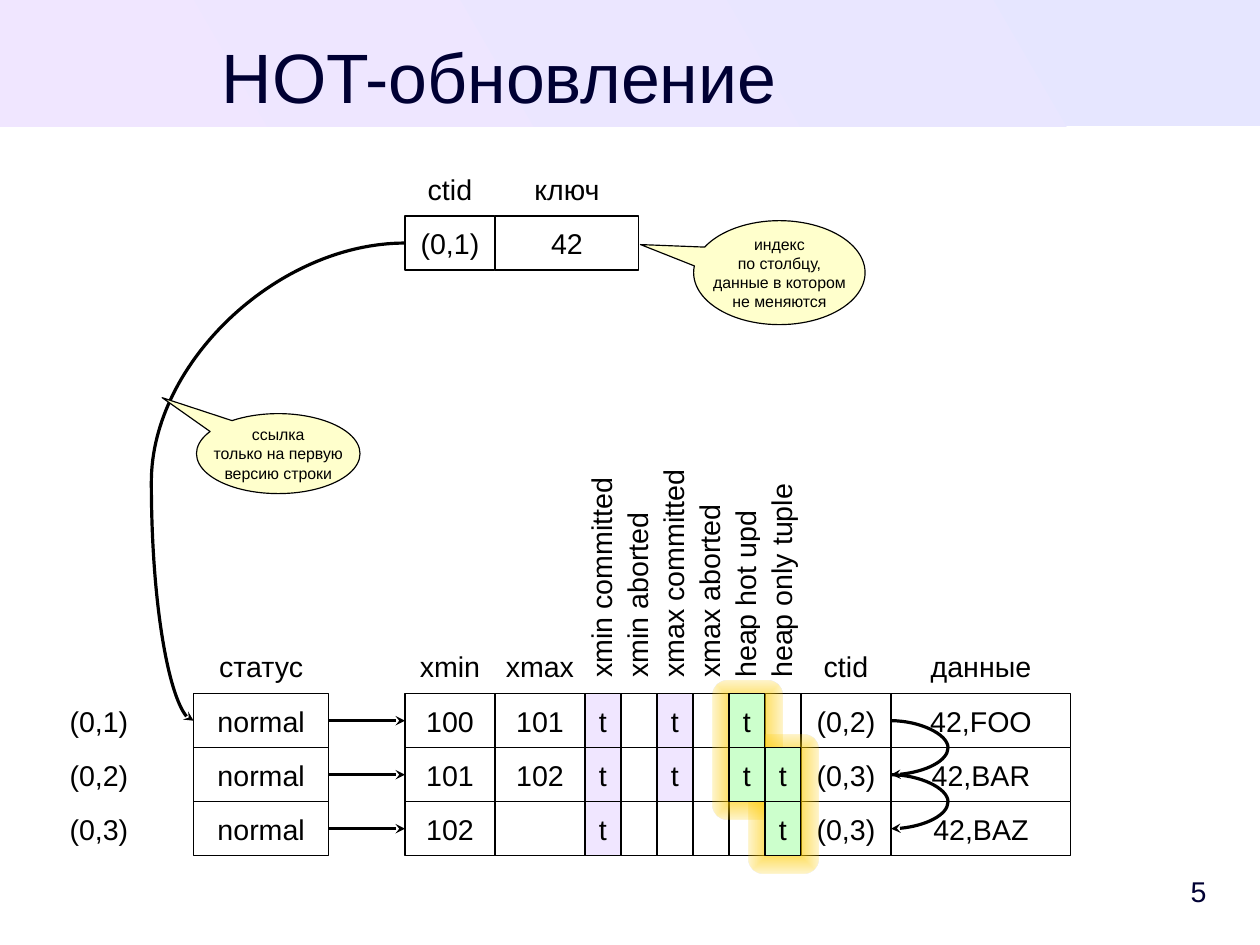
from lxml import etree
from pptx import Presentation
from pptx import util as u
from pptx.dml.color import RGBColor
from pptx.enum import shapes, text
from pptx.oxml import ns

SH = shapes.MSO_SHAPE
AL = text.PP_ALIGN


def rgb(value):
    return RGBColor.from_string(value)


def node(parent, tag, **attrs):
    return etree.SubElement(parent, ns.qn("a:" + tag), **attrs)


class Canvas:
    font = "Arial"
    ink = "000000"
    navy = "000033"
    violet = "F0E6FF"
    green = "CCFFCC"
    cream = "FFFFCC"
    glow = "FFCC00"

    def __init__(self, slide):
        self.s = slide

    def add_lines(self, tf, lines, size, color, align):
        for i, line in enumerate(lines.split("\n")):
            p = tf.paragraphs[0] if i == 0 else tf.add_paragraph()
            p.alignment = align
            r = p.add_run()
            r.text = line
            r.font.name = self.font
            r.font.size = u.Pt(size)
            r.font.color.rgb = rgb(color)

    def label(self, x, y, w, h, words, size, align, anchor, margins):
        sp = self.s.shapes.add_textbox(u.Pt(x), u.Pt(y), u.Pt(w), u.Pt(h))
        tf = sp.text_frame
        tf.word_wrap = True
        tf.vertical_anchor = anchor
        tf.margin_left, tf.margin_top, tf.margin_right, tf.margin_bottom = map(u.Pt, margins)
        self.add_lines(tf, words, size, self.navy, align)

    def shape(self, kind, x, y, w, h, fill="FFFFFF", line=None):
        sp = self.s.shapes.add_shape(kind, u.Pt(x), u.Pt(y), u.Pt(w), u.Pt(h))
        sp.shadow.inherit = False
        sp.fill.solid()
        sp.fill.fore_color.rgb = rgb(fill)
        if line:
            sp.line.color.rgb = rgb(line)
            sp.line.width = u.Pt(0)
        else:
            sp.line.fill.background()
        return sp

    def box(self, x, y, w, h, words="", fill="FFFFFF", line=None, size=18,
            kind=SH.RECTANGLE, align=AL.CENTER, wrap=False):
        sp = self.shape(kind, x, y, w, h, fill, line)
        if words:
            tf = sp.text_frame
            tf.word_wrap = wrap
            tf.vertical_anchor = text.MSO_ANCHOR.MIDDLE
            self.add_lines(tf, words, size, self.ink, align)
        return sp

    def cell(self, x, y, w, h, words="", fill="FFFFFF"):
        return self.box(x, y, w, h, words, fill, self.ink)

    def upright(self, cx, cy, length, thick, words):
        sp = self.box(cx - length / 2, cy - thick / 2, length, thick, words,
                      align=AL.LEFT, wrap=True)
        sp.rotation = 270

    def callout(self, x, y, w, h, words, tip):
        sp = self.box(x, y, w, h, words, self.cream, self.ink, 10, SH.OVAL_CALLOUT)
        sp.adjustments[0], sp.adjustments[1] = tip

    def band(self, w, h, start, end, angle):
        sp = self.shape(SH.RECTANGLE, 0, 0, w, h)
        sp.fill.gradient()
        sp.fill.gradient_angle = angle
        for stop, color in zip(sp.fill.gradient_stops, (start, end)):
            stop.color.rgb = rgb(color)

    def halo(self, x, y, w, h):
        sp = self.shape(SH.ROUNDED_RECTANGLE, x, y, w, h)
        sp.adjustments[0] = 0.22
        sp.fill.gradient()
        for stop in sp.fill.gradient_stops:
            stop.color.rgb = rgb(self.glow)
        grad = sp.element.spPr.find(ns.qn("a:gradFill"))
        node(grad.findall(".//" + ns.qn("a:srgbClr"))[1], "alpha", val="20000")
        grad.remove(grad.find(ns.qn("a:lin")))
        route = node(grad, "path", path="rect")
        node(route, "fillToRect", l="50000", t="50000", r="50000", b="50000")

    def arrow(self, kind, x1, y1, x2, y2):
        c = self.s.shapes.add_connector(kind, u.Pt(x1), u.Pt(y1), u.Pt(x2), u.Pt(y2))
        c.line.color.rgb = rgb(self.ink)
        c.line.width = u.Pt(0)
        spPr = c.element.spPr
        node(spPr.find(ns.qn("a:ln")), "tailEnd", type="stealth")
        node(spPr, "effectLst")
        return c

    def join(self, a, b):
        c = self.arrow(shapes.MSO_CONNECTOR.STRAIGHT, 0, 0, 0, 0)
        c.begin_connect(a, 3)
        c.end_connect(b, 1)

    def curve(self, x1, y1, x2, y2, bend):
        c = self.arrow(shapes.MSO_CONNECTOR.CURVE, x1, y1, x2, y2)
        geom = c.element.spPr.find(ns.qn("a:prstGeom"))
        av = geom.find(ns.qn("a:avLst"))
        if av is None:
            av = node(geom, "avLst")
        node(av, "gd", name="adj1", fmla=f"val {round(bend * 100000)}")


WIDTH, HEIGHT = 793.7, 595.28
ROW, COL, FLAG = 34.02, 56.69, 22.68
TOP, HEAD = 437, 402.5
LABEL_X, STATUS_X, STATUS_W = 34, 122, 85.04
TUPLE_X, INDEX_Y, KEY_W = 255.12, 136.1, 90.7

HEADERS = ["xmin", "xmax", "xmin committed", "xmin aborted", "xmax committed",
           "xmax aborted", "heap hot upd", "heap only tuple", "ctid", "данные"]
WIDTHS = [COL] * 2 + [FLAG] * 6 + [COL, 2 * COL]
LEFTS = [TUPLE_X + sum(WIDTHS[:i]) for i in range(len(WIDTHS))]
FLAGS, HOT = range(2, 8), (6, 7)
TUPLES = [
    ["100", "101", "t", "", "t", "", "t", "", "(0,2)", "42,FOO"],
    ["101", "102", "t", "", "t", "", "t", "t", "(0,3)", "42,BAR"],
    ["102", "", "t", "", "", "", "", "t", "(0,3)", "42,BAZ"],
]


def draw_index(d):
    key_x = TUPLE_X + COL
    for x, w, name, value in ((TUPLE_X, COL, "ctid", "(0,1)"), (key_x, KEY_W, "ключ", "42")):
        d.box(x, INDEX_Y - ROW, w, ROW, name)
        d.cell(x, INDEX_Y, w, ROW, value)


def draw_tuples(d):
    for i, (x, w, name) in enumerate(zip(LEFTS, WIDTHS, HEADERS)):
        if i in FLAGS:
            d.upright(x + w / 2 - 1.5, 358.7, 150.5, 26, name)
        else:
            d.box(x, HEAD, w, ROW, name)
    d.box(STATUS_X, HEAD, STATUS_W, ROW, "статус")
    hot = []
    for n, values in enumerate(TUPLES):
        y = TOP + n * ROW
        d.box(LABEL_X, y, COL, ROW, f"(0,{n + 1})")
        status = d.cell(STATUS_X, y, STATUS_W, ROW, "normal")
        cells = []
        for i, (x, w, value) in enumerate(zip(LEFTS, WIDTHS, values)):
            if i in HOT and value:
                hot.append((x, y, w, ROW, value, d.green))
            else:
                fill = d.violet if i in FLAGS and value else "FFFFFF"
                cells.append(d.cell(x, y, w, ROW, value, fill))
        d.join(status, cells[0])
    for n, i in enumerate(HOT):
        d.halo(LEFTS[i] - 10.5, TOP + n * ROW - 8.5, 44, 87.5)
    for args in hot:
        d.cell(*args)


def draw_links(d):
    middle = TOP + ROW / 2
    d.curve(TUPLE_X, INDEX_Y + ROW / 2, STATUS_X, middle, 1.2)
    for n in range(2):
        y = middle + n * ROW
        d.curve(LEFTS[-1], y, LEFTS[-1] + 0.1, y + ROW, 317)


def main():
    prs = Presentation()
    prs.slide_width, prs.slide_height = u.Pt(WIDTH), u.Pt(HEIGHT)
    d = Canvas(prs.slides.add_slide(prs.slide_layouts[6]))
    d.band(WIDTH, 79.4, "E6E6FF", d.violet, 210)
    d.label(34, 21, 561.3, 50, "HOT-обновление", 44, AL.CENTER,
            text.MSO_ANCHOR.TOP, (0, 0, 0, 0))
    d.label(697.6, 544.3, 62.4, ROW, "5", 18, AL.RIGHT,
            text.MSO_ANCHOR.MIDDLE, (7.2, 3.6, 0, 3.6))
    draw_index(d)
    draw_tuples(d)
    draw_links(d)
    d.callout(123.8, 260.6, 103, 50.4, "ссылка\nтолько на первую\nверсию строки", (-0.71, -0.7))
    d.callout(437, 139, 108, 65.5, "индекс\nпо столбцу,\nданные в котором\nне меняются", (-0.81, -0.27))
    prs.save("out.pptx")


if __name__ == "__main__":
    main()
